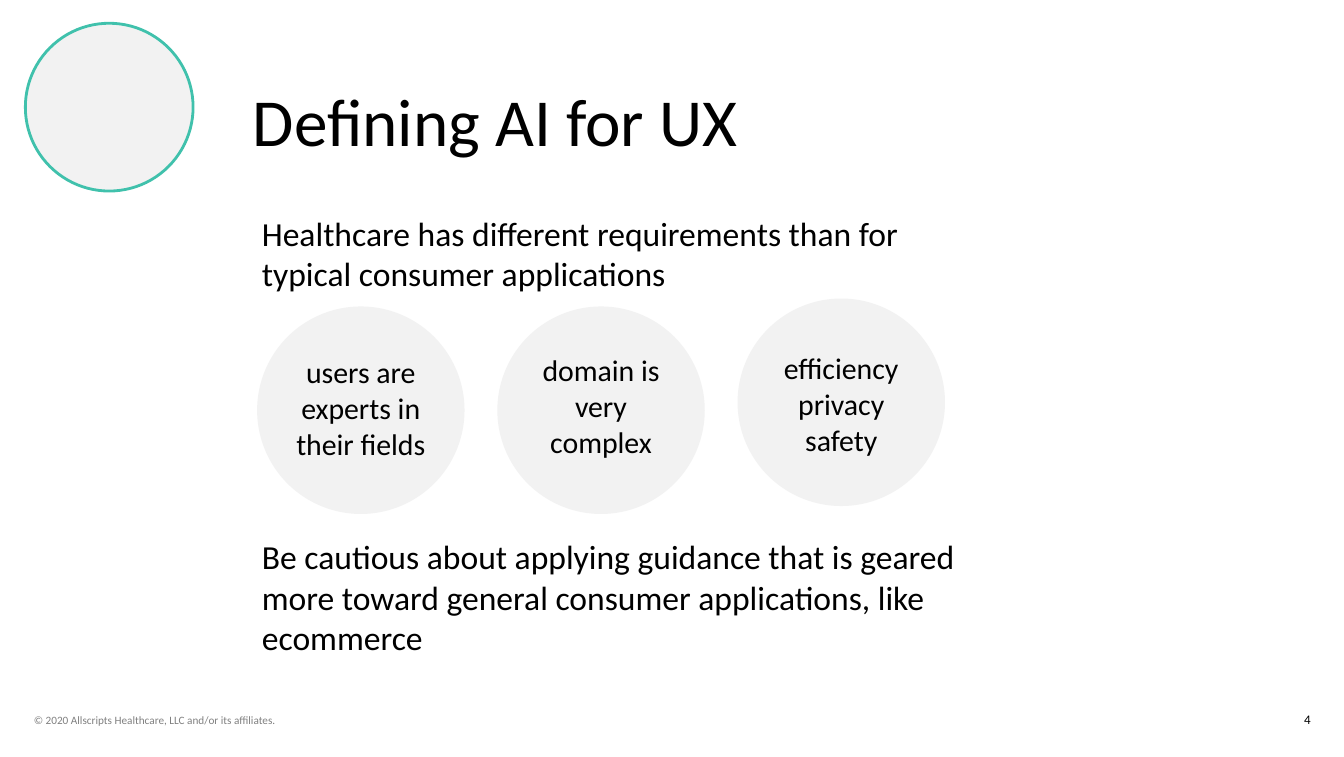
from pptx import Presentation
from pptx.dml.color import RGBColor
from pptx.enum import shapes, text
from pptx.util import Cm, Pt

THEME = {
    "font": "Calibri",
    "ink": RGBColor(0x00, 0x00, 0x00),
    "muted": RGBColor(0x80, 0x80, 0x80),
    "disc": RGBColor(0xF2, 0xF2, 0xF2),
    "accent": RGBColor(0x40, 0xC1, 0xAC),
    "title": 36, "body": 18, "trait": 16, "number": 7, "copyright": 6,
}

TITLE = "Defining AI for UX"
STATEMENTS = [
    "Healthcare has different requirements than for typical consumer applications",
    "Be cautious about applying guidance that is geared more toward general "
    "consumer applications, like ecommerce",
]
TRAITS = [  # paragraphs, disc top, label top and label width in cm
    (["users are experts in their fields"], 5.79, 6.55, 3.12),
    (["domain is very complex"], 5.79, 6.52, 3.28),
    (["efficiency privacy", "safety"], 5.64, 6.48, 4.29),
]
COPYRIGHT = "© 2020 Allscripts Healthcare, LLC and/or its affiliates."
NUMBER = "4"

TRAIT_LEFT, TRAIT_SIZE, TRAIT_GAP = 4.86, 3.92, 0.62
LABEL_HEIGHT = 2.31
STATEMENT_GAP = 130  # points, leaves room for the row of traits


def write(shape, paragraphs, size, color="ink", align=text.PP_ALIGN.LEFT,
          anchor=text.MSO_ANCHOR.TOP, insets=(0.25, 0.13, 0.25, 0.13),
          wrap=True, gap=0):
    """Fill a shape with paragraphs; insets are left, top, right, bottom in cm."""
    frame = shape.text_frame
    frame.auto_size = text.MSO_AUTO_SIZE.NONE
    frame.word_wrap = wrap
    frame.vertical_anchor = anchor
    (frame.margin_left, frame.margin_top,
     frame.margin_right, frame.margin_bottom) = map(Cm, insets)
    for i, words in enumerate(paragraphs):
        paragraph = frame.add_paragraph() if i else frame.paragraphs[0]
        paragraph.alignment = align
        if i and gap:
            paragraph.space_before = Pt(gap)
        run = paragraph.add_run()
        run.text = words
        run.font.name = THEME["font"]
        run.font.size = Pt(THEME[size])
        run.font.color.rgb = THEME[color]


def add_disc(slide, left, top, size, outline=None):
    disc = slide.shapes.add_shape(
        shapes.MSO_SHAPE.OVAL, Cm(left), Cm(top), Cm(size), Cm(size))
    disc.shadow.inherit = False
    disc.fill.solid()
    disc.fill.fore_color.rgb = THEME["disc"]
    if outline:
        disc.line.color.rgb = THEME[outline]
        disc.line.width = Pt(1.5)
    else:
        disc.line.fill.background()


def add_text(slide, box, paragraphs, size, **style):
    write(slide.shapes.add_textbox(*map(Cm, box)), paragraphs, size, **style)


def main():
    deck = Presentation()
    deck.slide_width, deck.slide_height = Cm(25.4), Cm(14.3)
    slide = deck.slides.add_slide(deck.slide_layouts[5])

    title = slide.shapes.title
    title.left, title.top, title.width, title.height = map(
        Cm, (4.53, 1.37, 9.8, 1.8))
    write(title, [TITLE], "title", wrap=False)

    add_disc(slide, 0.48, 0.44, 3.17, outline="accent")
    add_text(slide, (4.7, 3.89, 13.92, 8.71), STATEMENTS, "body",
             gap=STATEMENT_GAP)

    for i, (paragraphs, top, label_top, label_width) in enumerate(TRAITS):
        left = TRAIT_LEFT + i * (TRAIT_SIZE + TRAIT_GAP)
        add_disc(slide, left, top, TRAIT_SIZE)
        label_left = left + (TRAIT_SIZE - label_width) / 2
        add_text(slide, (label_left, label_top, label_width, LABEL_HEIGHT),
                 paragraphs, "trait", align=text.PP_ALIGN.CENTER)

    add_text(slide, (0.64, 13.34, 7.8, 0.51), [COPYRIGHT], "copyright",
             color="muted", insets=(0, 0.13, 0.25, 0.13))
    add_text(slide, (23.75, 13.31, 1.02, 0.56), [NUMBER], "number",
             align=text.PP_ALIGN.RIGHT, anchor=text.MSO_ANCHOR.MIDDLE,
             insets=(0, 0.13, 0, 0.13))

    deck.save("out.pptx")


if __name__ == "__main__":
    main()
